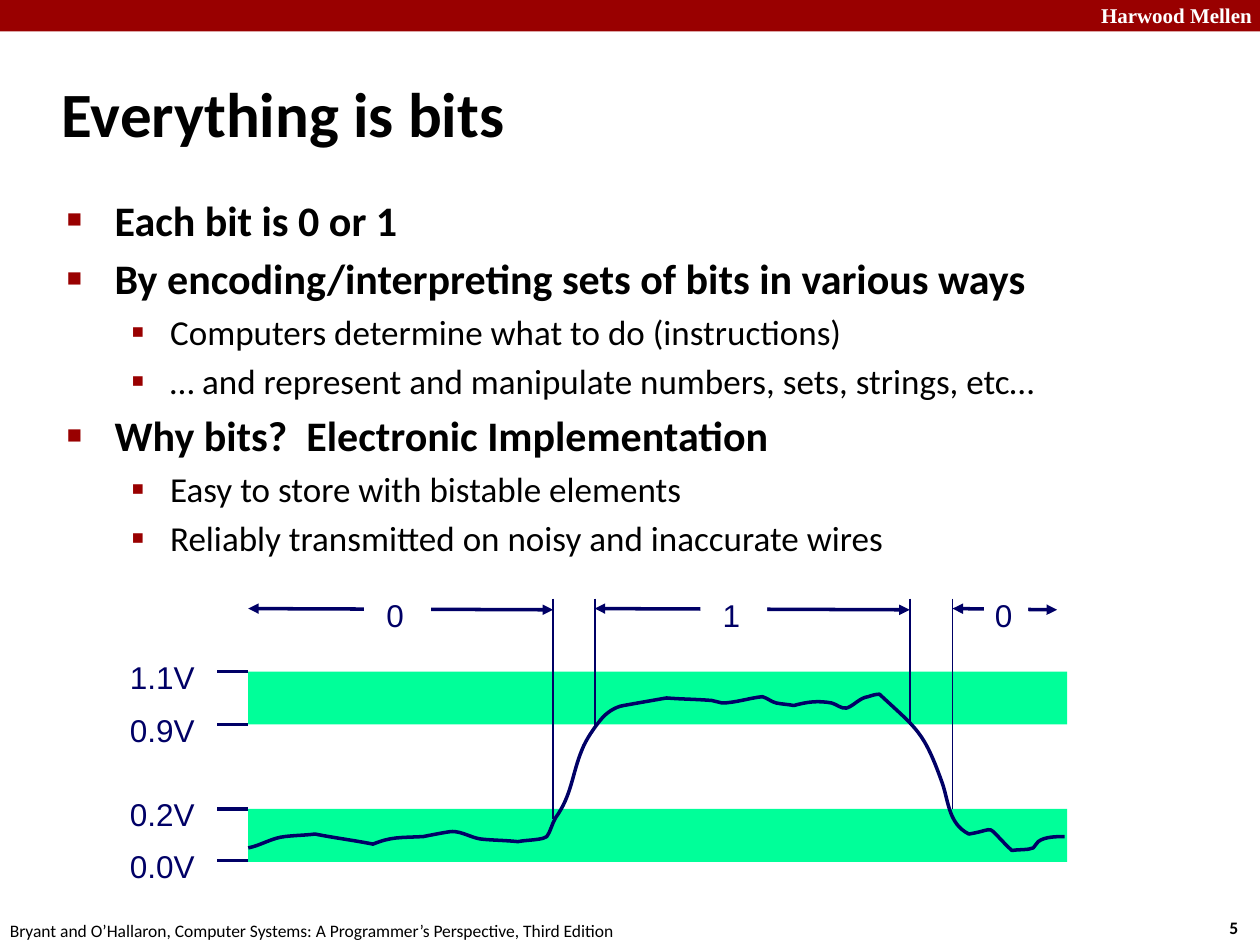
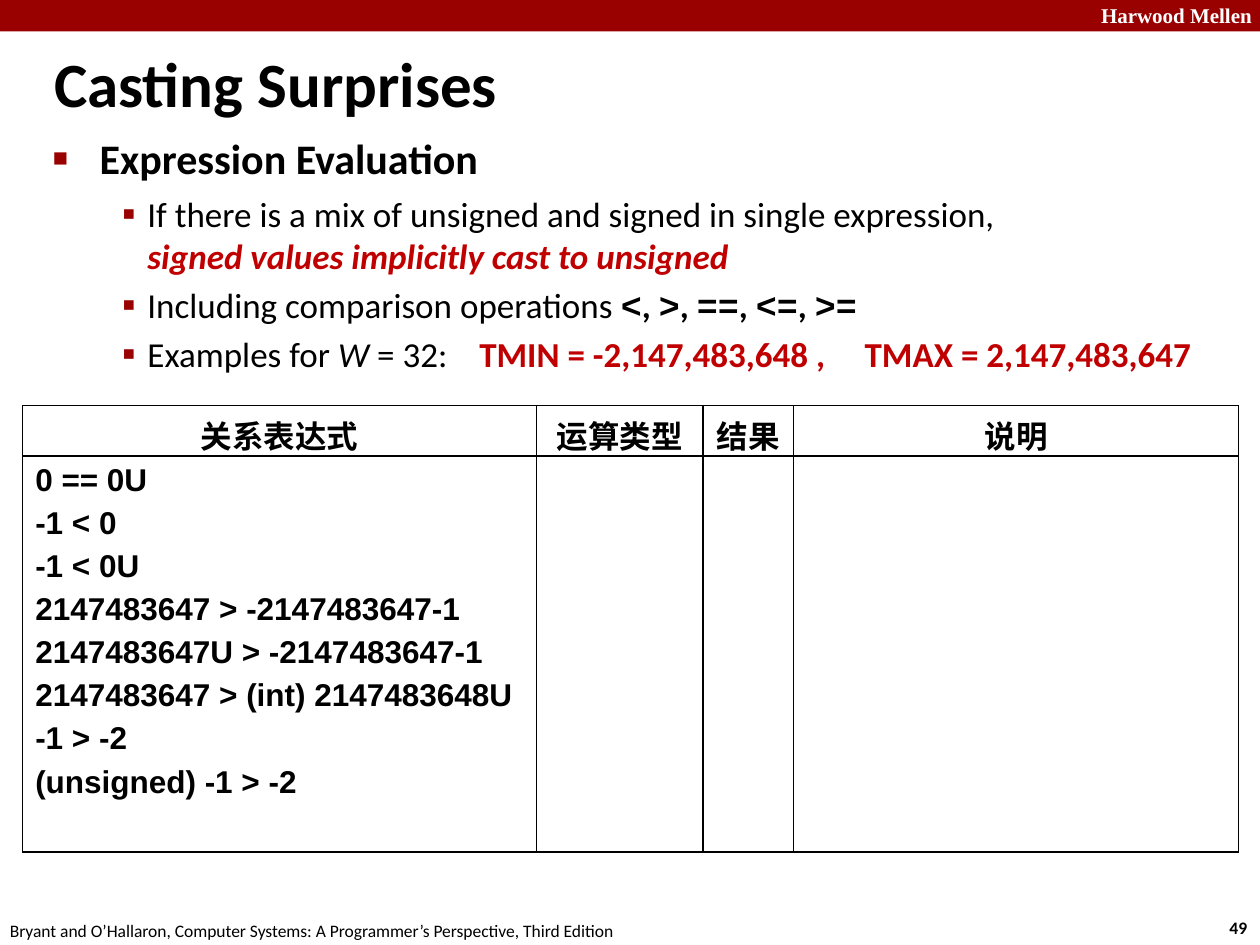
import lxml.etree
import pptx
import pptx.dml.color
import pptx.enum.shapes
import pptx.enum.text
import pptx.oxml.ns
import pptx.util

Inches = pptx.util.Inches
Pt = pptx.util.Pt
SHAPE = pptx.enum.shapes.MSO_SHAPE
ALIGN = pptx.enum.text.PP_ALIGN
ANCHOR = pptx.enum.text.MSO_ANCHOR
AUTO_SIZE = pptx.enum.text.MSO_AUTO_SIZE

COLORS = {
    "band": "990000",
    "accent": "C00000",
    "text": "000000",
    "paper": "FFFFFF",
    "signal": "000066",
    "range": "00FF99",
}

TITLE = {"name": "Calibri", "size": Pt(36), "bold": True}
HEADER = {"name": "Times New Roman", "size": Pt(12), "bold": True}
FOOTER = {"name": "Calibri", "size": Pt(10), "bold": False}
PAGE_NUMBER = FOOTER | {"bold": True}
DIAGRAM = {"name": "Arial", "size": Pt(18)}
TABLE_TEXT = DIAGRAM | {"bold": True}
LEVELS = [
    {"name": "Calibri", "size": Pt(24), "bold": True},
    {"name": "Calibri", "size": Pt(20), "bold": False},
]
BULLETS = [("■", 60), ("▪", 110)]
BOLD = {"bold": True}
CODE = {"name": "Courier New", "bold": True}
DIAGRAM_MARGINS = (0.06, 0.06, 0.1, 0.06)

VOLTAGES = {"1.1V": 5.33, "0.9V": 5.75, "0.2V": 6.42, "0.0V": 6.83}
PLOT_LEFT, PLOT_WIDTH = 1.97, 6.5
BIT_SPANS = [(1.97, 4.39), (4.72, 7.22), (7.56, 8.39)]
BIT_LABELS = [("0", 2.89, 0.53), ("1", 5.56, 0.53), ("0", 7.81, 0.35)]
BIT_EDGES = {4.39: 6.5, 4.72: 5.75, 7.22: 5.75, 7.56: 6.42}
SIGNAL_START = (1.97, 6.73)
SIGNAL_CURVES = [
    (2.07, 6.71, 2.16, 6.65, 2.26, 6.64), (2.34, 6.63, 2.42, 6.63, 2.5, 6.62),
    (2.65, 6.65, 2.81, 6.67, 2.96, 6.7), (3.11, 6.64, 3.17, 6.65, 3.36, 6.64),
    (3.41, 6.63, 3.56, 6.6, 3.59, 6.6), (3.67, 6.6, 3.74, 6.65, 3.82, 6.66),
    (3.92, 6.67, 4.01, 6.67, 4.11, 6.68), (4.16, 6.67, 4.22, 6.67, 4.28, 6.66),
    (4.3, 6.66, 4.32, 6.65, 4.34, 6.64), (4.37, 6.6, 4.38, 6.54, 4.41, 6.49),
    (4.54, 6.31, 4.54, 6.14, 4.62, 5.95), (4.65, 5.87, 4.72, 5.77, 4.77, 5.71),
    (4.81, 5.66, 4.88, 5.61, 4.95, 5.6), (5.06, 5.58, 5.29, 5.54, 5.29, 5.54),
    (5.41, 5.55, 5.53, 5.55, 5.65, 5.56), (5.68, 5.56, 5.7, 5.58, 5.73, 5.58),
    (5.83, 5.58, 5.95, 5.54, 6.05, 5.53), (6.09, 5.54, 6.12, 5.57, 6.16, 5.58),
    (6.21, 5.59, 6.25, 5.59, 6.3, 5.6), (6.41, 5.57, 6.49, 5.56, 6.6, 5.58),
    (6.64, 5.59, 6.68, 5.63, 6.72, 5.62), (6.78, 5.6, 6.82, 5.54, 6.89, 5.53),
    (6.92, 5.52, 6.95, 5.51, 6.98, 5.51), (7.28, 5.79, 7.33, 5.8, 7.48, 6.22),
    (7.53, 6.37, 7.53, 6.54, 7.69, 6.62), (7.93, 6.58, 7.8, 6.53, 8.03, 6.75),
    (8.09, 6.74, 8.15, 6.75, 8.2, 6.73), (8.22, 6.72, 8.22, 6.69, 8.24, 6.68),
    (8.29, 6.64, 8.39, 6.64, 8.45, 6.64),
]

BITS_LIST = [
    (0, [("Each bit is 0 or 1", {})]),
    (0, [("By encoding/interpreting sets of bits in various ways", {})]),
    (1, [("Computers determine what to do (instructions)", {})]),
    (1, [("… and represent and manipulate numbers, sets, strings, etc…", {})]),
    (0, [("Why bits?  Electronic Implementation", {})]),
    (1, [("Easy to store with bistable elements", {})]),
    (1, [("Reliably transmitted on noisy and inaccurate wires", {})]),
]
CASTING_LIST = [
    (0, [("Expression Evaluation", {})]),
    (1, [("If there is a mix of unsigned and signed in single expression, ", {}),
         ("\n", {}),
         ("signed values implicitly cast to unsigned",
          {"color": "accent", "bold": True, "italic": True})]),
    (1, [("Including comparison operations ", {}),
         ("<", CODE), (", ", BOLD), (">", CODE), (", ", BOLD), ("==", CODE),
         (", ", BOLD), ("<=", CODE), (", ", BOLD), (">=", CODE)]),
    (1, [("Examples for ", {}), ("W", {"italic": True}), (" = 32:    ", {}),
         ("TMIN = -2,147,483,648 ,     TMAX = 2,147,483,647",
          {"color": "accent", "bold": True})]),
]
TABLE_HEADINGS = ["关系表达式", "运算类型", "结果", "说明"]
EXPRESSIONS = [
    "0 == 0U", "-1 < 0", "-1 < 0U", "2147483647 > -2147483647-1",
    "2147483647U > -2147483647-1", "2147483647 > (int) 2147483648U",
    "-1 > -2", "(unsigned) -1 > -2",
]


def rgb(color):
    return pptx.dml.color.RGBColor.from_string(COLORS[color])


def add_xml(parent, tag, **attributes):
    return lxml.etree.SubElement(parent, pptx.oxml.ns.qn(tag), attributes)


def add_span(para, text, style, color="text"):
    span = para.add_run()
    span.text = text
    for name, value in style.items():
        setattr(span.font, name, value)
    span.font.color.rgb = rgb(color)


def set_paragraph(para, left, hanging, percent_before=0):
    properties = para._p.get_or_add_pPr()
    properties.set("marL", str(Inches(left)))
    properties.set("indent", str(-Inches(hanging)))
    spacing = add_xml(properties, "a:spcBef")
    add_xml(spacing, "a:spcPct", val=str(percent_before * 1000))
    return properties


def set_margins(frame, margins):
    for side, margin in zip(("left", "top", "right", "bottom"), margins):
        setattr(frame, f"margin_{side}", Inches(margin))


def place(shape, bounds):
    for name, value in zip(("left", "top", "width", "height"), bounds):
        setattr(shape, name, Inches(value))


def add_text(page, text, bounds, style, color="text", wrap=False,
             margins=(0.1, 0.05, 0.1, 0.05)):
    box = page.shapes.add_textbox(*map(Inches, bounds))
    box.text_frame.word_wrap = wrap
    box.text_frame.auto_size = AUTO_SIZE.SHAPE_TO_FIT_TEXT
    set_margins(box.text_frame, margins)
    add_span(box.text_frame.paragraphs[0], text, style, color)


def add_block(page, bounds, color):
    block = page.shapes.add_shape(SHAPE.RECTANGLE, *map(Inches, bounds))
    block.shadow.inherit = False
    block.fill.solid()
    block.fill.fore_color.rgb = rgb(color)
    block.line.fill.background()
    return block


def add_line(page, start, end, width, arrows=False):
    line = page.shapes.add_connector(
        pptx.enum.shapes.MSO_CONNECTOR.STRAIGHT, *map(Inches, start + end))
    line.line.color.rgb = rgb("signal")
    line.line.width = Pt(width)
    if arrows:
        for tag in ("a:headEnd", "a:tailEnd"):
            add_xml(line.line._get_or_add_ln(), tag, type="triangle")
    add_xml(line._element.spPr, "a:effectLst")


def add_page(deck, title, title_bounds, number):
    page = deck.slides.add_slide(deck.slide_layouts[1])
    add_block(page, (0, 0, 10, 0.25), "band")
    add_text(page, "Harwood Mellen", (8.64, -0.03, 1.43, 0.3), HEADER, "paper", True)
    add_text(page, str(number), (9.66, 7.23, 0.37, 0.27), PAGE_NUMBER)
    add_text(page, "Bryant and O’Hallaron, Computer Systems: "
             "A Programmer’s Perspective, Third Edition",
             (-0.02, 7.25, 5.08, 0.27), FOOTER)
    place(page.shapes.title, title_bounds)
    frame = page.shapes.title.text_frame
    frame.auto_size = AUTO_SIZE.NONE
    frame.vertical_anchor = ANCHOR.MIDDLE
    para = frame.paragraphs[0]
    para.alignment = ALIGN.LEFT
    set_paragraph(para, 0.13, 0.13)
    add_span(para, title, TITLE)
    return page


def fill_list(page, bounds, entries, indents):
    body = page.placeholders[1]
    place(body, bounds)
    frame = body.text_frame
    frame.auto_size = AUTO_SIZE.NONE
    for index, (level, spans) in enumerate(entries):
        para = frame.add_paragraph() if index else frame.paragraphs[0]
        para.level = level
        properties = set_paragraph(para, *indents[level], percent_before=20)
        mark, percent = BULLETS[level]
        add_xml(add_xml(properties, "a:buClr"), "a:srgbClr", val=COLORS["band"])
        add_xml(properties, "a:buSzPct", val=str(percent * 1000))
        add_xml(properties, "a:buFont", typeface="Arial")
        add_xml(properties, "a:buChar", char=mark)
        for text, changes in spans:
            if text == "\n":
                para.add_line_break()
                continue
            style = LEVELS[level] | changes
            add_span(para, text, style, style.pop("color", "text"))


def add_signal(page):
    builder = page.shapes.build_freeform(*map(Inches, SIGNAL_START))
    ends = [tuple(map(Inches, curve[-2:])) for curve in SIGNAL_CURVES]
    builder.add_line_segments(ends, close=False)
    signal = builder.convert_to_shape()
    segments = signal._element.findall(".//" + pptx.oxml.ns.qn("a:lnTo"))
    for segment, curve in zip(segments, SIGNAL_CURVES):
        bezier = add_xml(segment.getparent(), "a:cubicBezTo")
        segment.getparent().replace(segment, bezier)
        for x, y in zip(curve[::2], curve[1::2]):
            add_xml(bezier, "a:pt", x=str(Inches(x) - signal.left),
                    y=str(Inches(y) - signal.top))
    signal.shadow.inherit = False
    signal.fill.background()
    signal.line.color.rgb = rgb("signal")
    signal.line.width = Pt(2)


def add_voltage_diagram(page):
    diagram = page.shapes.add_group_shape()
    for name in ("0.2V", "1.1V"):
        add_block(diagram, (PLOT_LEFT, VOLTAGES[name], PLOT_WIDTH, 0.42), "range")
    add_signal(diagram)
    for name, level in VOLTAGES.items():
        add_line(diagram, (PLOT_LEFT, level), (PLOT_LEFT - 0.25, level), 2)
        add_text(diagram, name, (0.97, level - 0.17, 0.69, 0.41), DIAGRAM, "signal",
                 margins=DIAGRAM_MARGINS)
    for left, right in BIT_SPANS:
        add_line(diagram, (left, 4.83), (right, 4.84), 2, arrows=True)
    for edge, bottom in BIT_EDGES.items():
        add_line(diagram, (edge, 4.75), (edge, bottom), 1)
    for bit, left, width in BIT_LABELS:
        block = add_block(diagram, (left, 4.67, width, 0.42), "paper")
        frame = block.text_frame
        frame.vertical_anchor = ANCHOR.TOP
        set_margins(frame, DIAGRAM_MARGINS)
        frame.paragraphs[0].alignment = ALIGN.CENTER
        add_span(frame.paragraphs[0], bit, DIAGRAM, "signal")


def format_cell(cell):
    properties = cell._tc.get_or_add_tcPr()
    for side in "LRTB":
        border = add_xml(properties, f"a:ln{side}", w=str(Pt(1)))
        add_xml(add_xml(border, "a:solidFill"), "a:srgbClr", val=COLORS["text"])
    cell.fill.background()


def add_expression_table(page):
    holder = page.shapes.add_table(2, 4, *map(Inches, (0.18, 3.22, 9.65, 3.54)))
    table = holder.table
    table.first_row = table.horz_banding = False
    for column, width in zip(table.columns, (4.08, 1.32, 0.72, 3.53)):
        column.width = Inches(width)
    for row, height in zip(table.rows, (0.19, 3.14)):
        row.height = Inches(height)
    holder.height = Inches(3.54)
    for cell in table.iter_cells():
        format_cell(cell)
    for index, heading in enumerate(TABLE_HEADINGS):
        para = table.cell(0, index).text_frame.paragraphs[0]
        para.alignment = ALIGN.CENTER
        set_paragraph(para, 0.22, 0.22)
        add_span(para, heading, TABLE_TEXT)
    frame = table.cell(1, 0).text_frame
    for index, expression in enumerate(EXPRESSIONS):
        para = frame.add_paragraph() if index else frame.paragraphs[0]
        set_paragraph(para, 0.22, 0.22, percent_before=25)
        add_span(para, expression, TABLE_TEXT)


def main():
    deck = pptx.Presentation()
    deck.slide_width, deck.slide_height = Inches(10), Inches(7.5)

    bits = add_page(deck, "Everything is bits", (0.39, 0.48, 8.3, 0.83), 5)
    fill_list(bits, (0.43, 1.49, 8.64, 5.44), BITS_LIST, [(0.38, 0.38), (0.82, 0.31)])
    add_voltage_diagram(bits)

    casting = add_page(deck, "Casting Surprises", (0.33, 0.35, 7.14, 0.61), 49)
    fill_list(casting, (0.32, 1, 9.85, 6.42), CASTING_LIST, [(0.37, 0.37), (0.75, 0.2)])
    add_expression_table(casting)

    deck.save("out.pptx")


if __name__ == "__main__":
    main()
